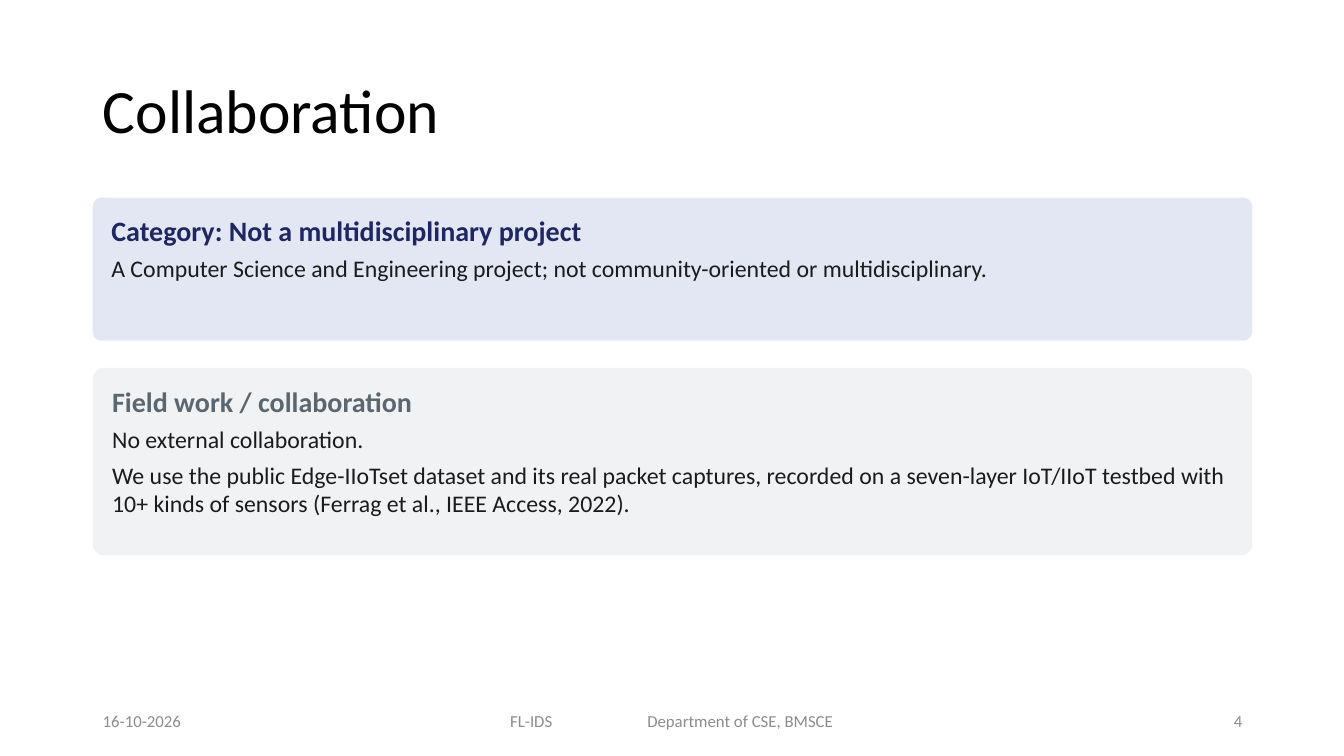
"""Build the Collaboration slide with two statement cards and a footer."""
from dataclasses import dataclass

import lxml.etree
import pptx
import pptx.dml.color
import pptx.enum.shapes
import pptx.enum.text
import pptx.oxml.ns
import pptx.util

EMU_PER_PX = 9144
Align = pptx.enum.text.PP_ALIGN
Anchor = pptx.enum.text.MSO_ANCHOR


@dataclass(frozen=True)
class Theme:
    font: str = "Calibri"
    title: str = "000000"
    body: str = "1B1B1B"
    footer: str = "8C8C8C"
    navy: str = "1E2761"
    slate: str = "5B6770"
    pale_blue: str = "E3E7F4"
    pale_grey: str = "F1F2F4"
    title_size: int = 44
    heading_size: int = 20
    body_size: int = 17
    footer_size: int = 12


@dataclass(frozen=True)
class Card:
    top: int
    height: int
    fill: str
    heading_color: str
    heading: str
    lines: tuple[str, ...]


@dataclass(frozen=True)
class FooterItem:
    left: int
    width: int
    text: str
    align: Align
    inset: int = 10
    tab: int = 0


THEME = Theme()
LEFT, WIDTH = 92, 1150
FOOTER_TOP, FOOTER_HEIGHT = 695, 40

CARDS = (
    Card(196, 142, THEME.pale_blue, THEME.navy,
         "Category: Not a multidisciplinary project",
         ("A Computer Science and Engineering project; "
          "not community-oriented or multidisciplinary.",)),
    Card(365, 186, THEME.pale_grey, THEME.slate,
         "Field work / collaboration",
         ("No external collaboration.",
          "We use the public Edge-IIoTset dataset and its real packet captures, "
          "recorded on a seven-layer IoT/IIoT testbed with 10+ kinds of sensors "
          "(Ferrag et al., IEEE Access, 2022).")),
)

FOOTER = (
    FooterItem(LEFT, 300, "16-10-2026", Align.LEFT),
    FooterItem(442, 450, "FL-IDS\tDepartment of CSE, BMSCE", Align.LEFT, inset=64, tab=136),
    FooterItem(942, 300, "4", Align.RIGHT),
)


def px(length: int) -> pptx.util.Emu:
    return pptx.util.Emu(length * EMU_PER_PX)


def rgb(color: str) -> pptx.dml.color.RGBColor:
    return pptx.dml.color.RGBColor.from_string(color)


def style(paragraph, size: int, color: str, bold: bool = False) -> None:
    font = paragraph.font
    font.name = THEME.font
    font.size = pptx.util.Pt(size)
    font.bold = bold
    font.color.rgb = rgb(color)


def add_tab(paragraph, position: int) -> None:
    qn = pptx.oxml.ns.qn
    properties = paragraph._p.get_or_add_pPr()
    tabs = lxml.etree.SubElement(properties, qn("a:tabLst"))
    lxml.etree.SubElement(tabs, qn("a:tab"), pos=str(px(position)), algn="l")


def fill_title(slide, text: str) -> None:
    title = slide.shapes.title
    title.left, title.top, title.width, title.height = px(LEFT), px(40), px(WIDTH), px(145)
    frame = title.text_frame
    frame.text = text
    frame.auto_size = pptx.enum.text.MSO_AUTO_SIZE.NONE
    frame.vertical_anchor = Anchor.MIDDLE
    paragraph = frame.paragraphs[0]
    paragraph.alignment = Align.LEFT
    paragraph.line_spacing = 0.9
    style(paragraph, THEME.title_size, THEME.title)


def draw_card(slide, card: Card) -> None:
    shape = slide.shapes.add_shape(
        pptx.enum.shapes.MSO_SHAPE.ROUNDED_RECTANGLE,
        px(LEFT), px(card.top), px(WIDTH), px(card.height))
    shape.adjustments[0] = 0.06
    shape.shadow.inherit = False
    shape.fill.solid()
    shape.fill.fore_color.rgb = rgb(card.fill)
    shape.line.fill.background()
    frame = shape.text_frame
    frame.word_wrap = True
    frame.vertical_anchor = Anchor.TOP
    frame.margin_left = frame.margin_right = px(16)
    frame.margin_top, frame.margin_bottom = px(13), px(5)
    heading = frame.paragraphs[0]
    heading.text = card.heading
    heading.alignment = Align.LEFT
    style(heading, THEME.heading_size, card.heading_color, bold=True)
    for line in card.lines:
        paragraph = frame.add_paragraph()
        paragraph.text = line
        paragraph.alignment = Align.LEFT
        paragraph.space_before = pptx.util.Pt(5)
        style(paragraph, THEME.body_size, THEME.body)


def draw_footer_item(slide, item: FooterItem) -> None:
    box = slide.shapes.add_textbox(
        px(item.left), px(FOOTER_TOP), px(item.width), px(FOOTER_HEIGHT))
    frame = box.text_frame
    frame.word_wrap = True
    frame.vertical_anchor = Anchor.MIDDLE
    frame.margin_left = px(item.inset)
    paragraph = frame.paragraphs[0]
    paragraph.text = item.text
    paragraph.alignment = item.align
    if item.tab:
        add_tab(paragraph, item.tab)
    style(paragraph, THEME.footer_size, THEME.footer)


def main() -> None:
    presentation = pptx.Presentation()
    presentation.slide_width, presentation.slide_height = px(1333), px(750)
    slide = presentation.slides.add_slide(presentation.slide_layouts.get_by_name("Title Only"))
    fill_title(slide, "Collaboration")
    for card in CARDS:
        draw_card(slide, card)
    for item in FOOTER:
        draw_footer_item(slide, item)
    presentation.save("out.pptx")


if __name__ == "__main__":
    main()
